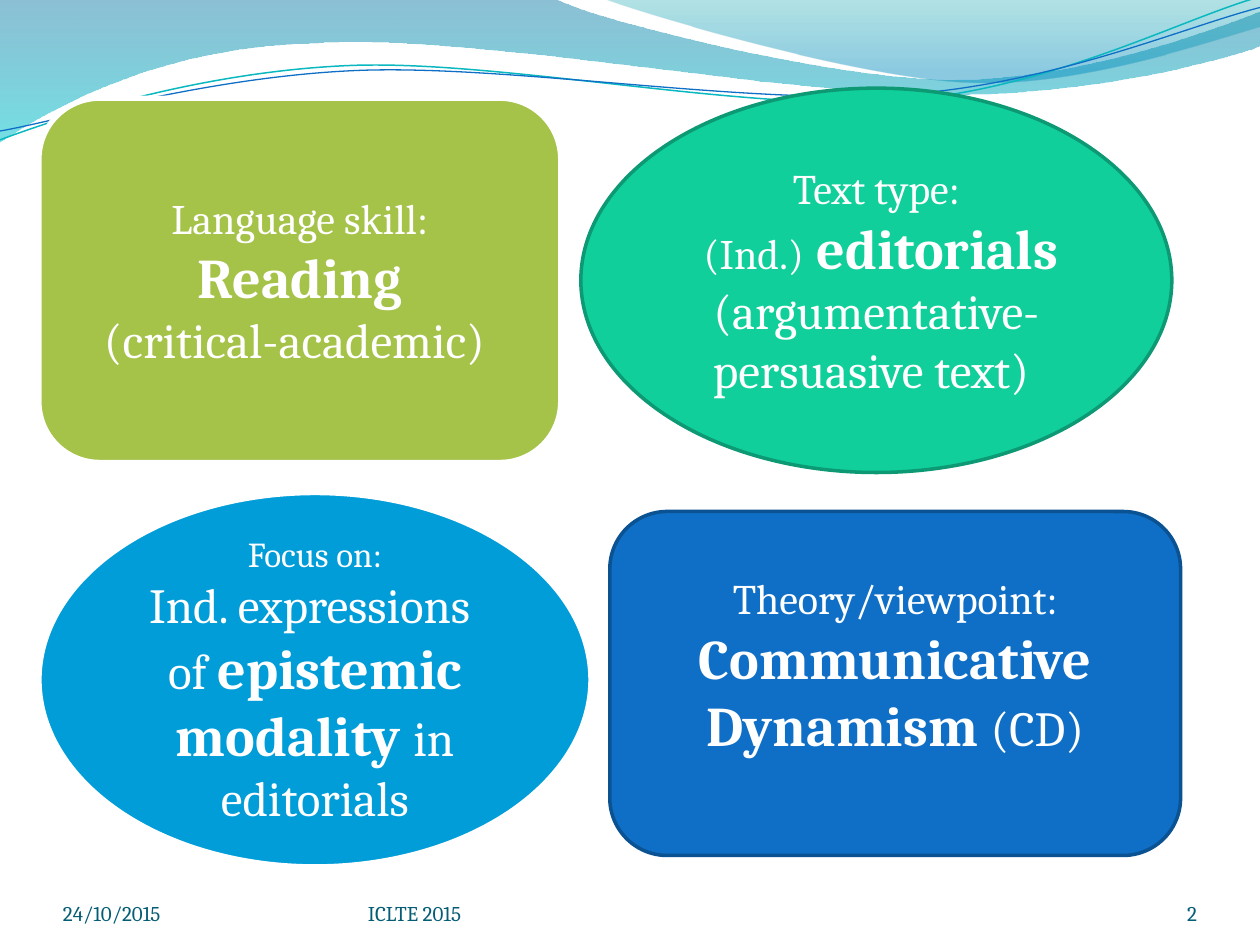
from dataclasses import dataclass
from math import cos, radians, sin
from typing import Optional

from lxml import etree
from pptx import Presentation
from pptx.dml.color import RGBColor
from pptx.enum.shapes import MSO_SHAPE
from pptx.enum.text import MSO_ANCHOR, PP_ALIGN
from pptx.oxml.ns import qn
from pptx.util import Inches, Pt

OVAL, ROUND = MSO_SHAPE.OVAL, MSO_SHAPE.ROUNDED_RECTANGLE
LEFT, CENTER, RIGHT = PP_ALIGN.LEFT, PP_ALIGN.CENTER, PP_ALIGN.RIGHT
MIDDLE, BOTTOM = MSO_ANCHOR.MIDDLE, MSO_ANCHOR.BOTTOM
FONT = "Cambria"
TILT = -2.7
COLORS = {
    "white": "FFFFFF", "blue": "009DD9", "mint": "10CF9B", "pine": "0C9973",
    "green": "A5C249", "royal": "0F6FC6", "navy": "0B5292", "foot": "045D75",
    "teal": "0AB8BF", "deep": "0074A1", "cyan": "00C6CF", "sea": "00A1A9",
    "sky": "008BBF",
}


@dataclass
class Run:
    text: str
    size: int
    bold: bool = False


@dataclass
class Stop:
    color: str
    pos: float
    alpha: int


@dataclass
class Wave:
    """Start point, then segments of two (line) or six (curve) numbers."""
    start: tuple
    segs: list
    stops: Optional[list] = None
    line: str = ""
    width: float = 0
    pivot: Optional[tuple] = None


@dataclass
class Card:
    kind: int
    box: tuple
    fill: str
    line: str
    width: float
    paras: list
    foot: float = 0.05


@dataclass
class Note:
    text: str
    box: tuple
    align: int = LEFT


WAVES = [
    Wave((0, 0), [(4.4, -0.01), (4.76, 0.17, 6.64, 0.63, 7.58, 0.63),
                  (8.53, 0.63, 9.58, 0.26, 10, 0.09), (10.01, 0.36),
                  (9.83, 0.44, 8.7, 0.76, 7.46, 0.75),
                  (6.22, 0.75, 3.82, 0.28, 2.57, 0.34),
                  (1.29, 0.36, 0.46, 0.83, -0.01, 1.13), (0, 0)],
         stops=[Stop("deep", 0, 45), Stop("cyan", 1, 55)]),
    Wave((4.79, -0.01), [(5.09, 0.11, 6.82, 0.62, 7.69, 0.65),
                         (8.56, 0.69, 9.61, 0.32, 10, 0.21), (10, 0),
                         (4.79, -0.01)],
         stops=[Stop("sea", 0, 30), Stop("sky", 0.8, 45)]),
    Wave((0, 1.11), [(0.48, 0.93, 1.58, 0.57, 2.77, 0.52),
                     (3.95, 0.47, 5.93, 0.89, 7.13, 0.8),
                     (8.33, 0.71, 9.38, 0.15, 9.98, -0.02)],
         line="teal", width=0.85, pivot=(4.99, 0.58)),
    Wave((0, 1.04), [(0.47, 0.96, 1.64, 0.61, 2.83, 0.56),
                     (4.03, 0.51, 5.97, 0.84, 7.17, 0.75),
                     (8.36, 0.67, 9.41, 0.21, 10, 0.06)],
         line="royal", width=0.75, pivot=(5, 0.59)),
]

CARDS = [
    Card(OVAL, (0.31, 3.91, 4.38, 2.97), "blue", "white", 3, [
        [Run("Focus on:", 20)],
        [Run("Ind. expressions ", 28)],
        [Run("of ", 28), Run("epistemic modality ", 32, True),
         Run("in editorials", 28)]]),
    Card(OVAL, (4.61, 0.7, 4.69, 3.05), "mint", "pine", 2, [
        [Run("Text type:", 24)],
        [Run(" (Ind.)", 24), Run(" editorials ", 32, True),
         Run("(argumentative-persuasive text) ", 28)]]),
    Card(ROUND, (0.31, 0.78, 4.14, 2.89), "green", "white", 3, [
        [Run("Language skill:", 24)],
        [Run("Reading", 32, True)],
        [Run("(critical-academic) ", 28)]]),
    Card(ROUND, (4.84, 4.06, 4.53, 2.73), "royal", "navy", 2, [
        [Run("Theory/viewpoint:", 24)],
        [Run("Communicative", 32, True)],
        [Run("Dynamism ", 32, True), Run("(CD)", 28)]], foot=0.34),
]

NOTES = [
    Note("24/10/2015", (0.5, 6.95, 2.33, 0.4)),
    Note("2", (8.67, 6.95, 0.83, 0.4), RIGHT),
    Note("ICLTE 2015", (2.92, 6.95, 3.67, 0.4)),
]


def rgb(name: str) -> RGBColor:
    return RGBColor.from_string(COLORS[name])


def put(item, values: dict) -> None:
    for key, value in values.items():
        setattr(item, key, value)


def level(dot: tuple, pivot: Optional[tuple]) -> tuple:
    """Undo the tilt of a point, so that the shape itself can carry it."""
    if not pivot:
        return dot
    x, y = dot[0] - pivot[0], dot[1] - pivot[1]
    c, s = cos(radians(-TILT)), sin(radians(-TILT))
    return pivot[0] + x * c - y * s, pivot[1] + x * s + y * c


def bend(shape, segs: list) -> None:
    """Join each three points of a curved segment into one Bezier curve."""
    lines = iter(list(shape.element.iter(qn("a:lnTo"))))
    for seg in segs:
        first = next(lines)
        if len(seg) == 2:
            continue
        first.tag_name = None
        curve = etree.Element(qn("a:cubicBezTo"))
        first.addprevious(curve)
        for line in (first, next(lines), next(lines)):
            curve.append(line[0])
            line.getparent().remove(line)


def add_wave(slide, wave: Wave) -> None:
    dots = [wave.start]
    for seg in wave.segs:
        dots += zip(seg[::2], seg[1::2])
    dots = [tuple(map(Inches, level(dot, wave.pivot))) for dot in dots]
    pen = slide.shapes.build_freeform(*dots[0])
    pen.add_line_segments(dots[1:], close=bool(wave.stops))
    shape = pen.convert_to_shape()
    bend(shape, wave.segs)
    shape.shadow.inherit = False
    if not wave.stops:
        shape.rotation = TILT
        shape.fill.background()
        shape.line.color.rgb = rgb(wave.line)
        shape.line.width = Pt(wave.width)
        return
    shape.line.fill.background()
    shape.fill.gradient()
    shape.fill.gradient_angle = 270
    for mark, stop in zip(shape.fill.gradient_stops, wave.stops):
        mark.color.rgb = rgb(stop.color)
        mark.position = stop.pos
    tones = shape.element.spPr.find(qn("a:gradFill")).iter(qn("a:srgbClr"))
    for tone, stop in zip(tones, wave.stops):
        etree.SubElement(tone, qn("a:alpha"), val=str(stop.alpha * 1000))


def add_text(frame, paras: list, align: int, color: str) -> None:
    for i, runs in enumerate(paras):
        para = frame.add_paragraph() if i else frame.paragraphs[0]
        para.alignment = align
        for item in runs:
            run = para.add_run()
            run.text = item.text
            put(run.font, {"name": FONT, "size": Pt(item.size),
                           "bold": item.bold})
            run.font.color.rgb = rgb(color)


def add_card(slide, card: Card) -> None:
    shape = slide.shapes.add_shape(card.kind, *map(Inches, card.box))
    shape.shadow.inherit = False
    shape.fill.solid()
    shape.fill.fore_color.rgb = rgb(card.fill)
    shape.line.color.rgb = rgb(card.line)
    shape.line.width = Pt(card.width)
    put(shape.text_frame, {"word_wrap": True, "vertical_anchor": MIDDLE,
                           "margin_bottom": Inches(card.foot)})
    add_text(shape.text_frame, card.paras, CENTER, "white")


def add_note(slide, note: Note) -> None:
    frame = slide.shapes.add_textbox(*map(Inches, note.box)).text_frame
    put(frame, {"word_wrap": True, "vertical_anchor": BOTTOM} | dict.fromkeys(
        ("margin_left", "margin_right", "margin_top", "margin_bottom"), 0))
    add_text(frame, [[Run(note.text, 12)]], note.align, "foot")


deck = Presentation()
put(deck, {"slide_width": Inches(10), "slide_height": Inches(7.5)})
slide = deck.slides.add_slide(deck.slide_layouts[6])
# Waves along the top edge, then the topic cards and the footer
for draw, items in ((add_wave, WAVES), (add_card, CARDS), (add_note, NOTES)):
    for item in items:
        draw(slide, item)
deck.save("out.pptx")
